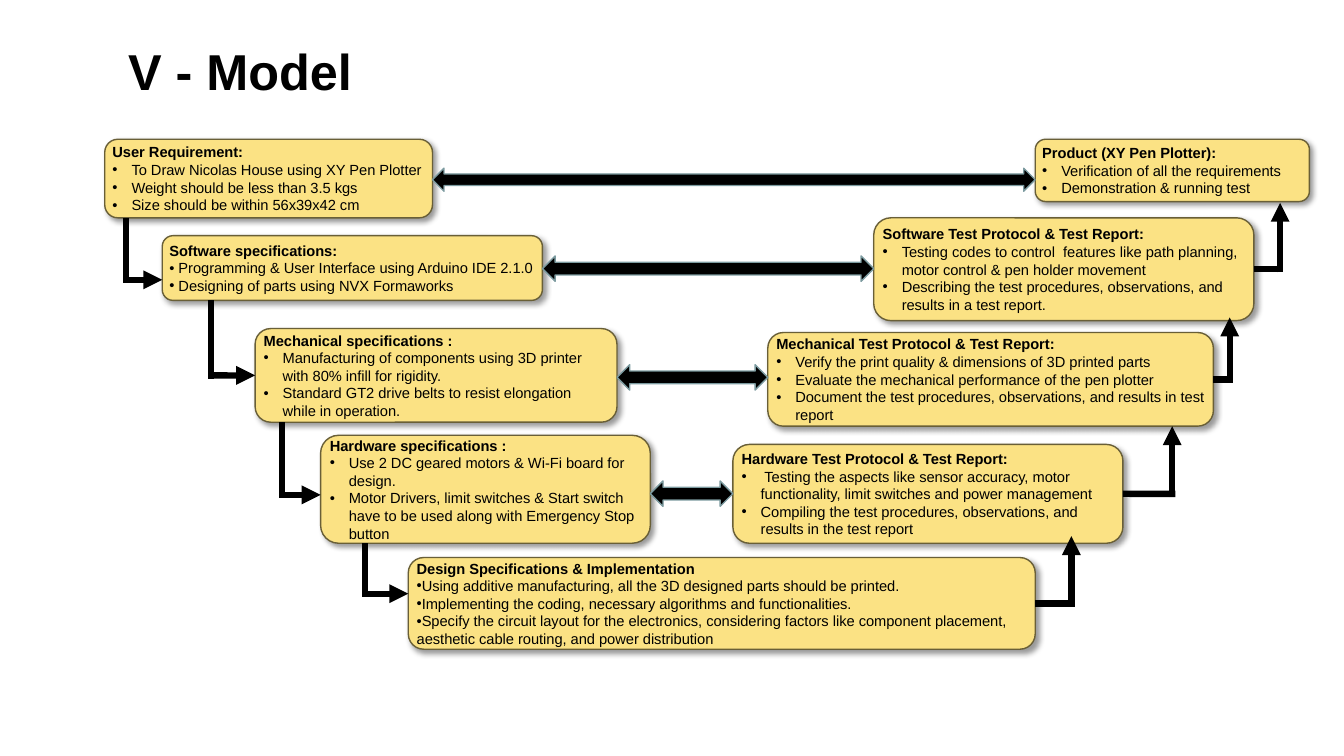
from lxml.etree import SubElement
from pptx import Presentation
from pptx.dml.color import RGBColor
from pptx.enum.shapes import MSO_CONNECTOR, MSO_SHAPE
from pptx.enum.text import MSO_ANCHOR, MSO_AUTO_SIZE, PP_ALIGN
from pptx.oxml import parse_xml
from pptx.oxml.ns import nsdecls, qn
from pptx.util import Cm, Pt

BLACK = RGBColor(0x00, 0x00, 0x00)
CREAM = RGBColor(0xFB, 0xE2, 0x84)
OLIVE = RGBColor(0x69, 0x5F, 0x37)
TEAL = RGBColor(0x7B, 0x9A, 0x9F)
FONT = "Arial"

# Content; all lengths in cm
TITLE = "V - Model"
HANGING, TIGHT = (0.48, -0.48), (0, -0.18)  # left margin, first-line indent

# key: (left, top, width, height), heading, bullets, bullet indent, alignment
BOXES = {
    "user": ((2.64, 3.51, 8.26, 1.98), "User Requirement:", [
        "To Draw Nicolas House using XY Pen Plotter",
        "Weight should be less than 3.5 kgs",
        "Size should be within 56x39x42 cm"], HANGING, PP_ALIGN.LEFT),
    "software": ((4.09, 5.94, 9.58, 1.63), "Software specifications:", [
        " Programming & User Interface using Arduino IDE 2.1.0",
        " Designing of parts using NVX Formaworks"], TIGHT, PP_ALIGN.LEFT),
    "mechanical": ((6.43, 8.28, 9.12, 2.36), "Mechanical specifications :", [
        "Manufacturing of components using 3D printer with 80% infill for rigidity.",
        "Standard GT2 drive belts to resist elongation while in operation."],
        HANGING, PP_ALIGN.LEFT),
    "hardware": ((8.08, 10.97, 8.31, 2.72), "Hardware specifications :", [
        "Use 2 DC geared motors & Wi-Fi board for design.",
        "Motor Drivers, limit switches & Start switch have to be used along with "
        "Emergency Stop button"], HANGING, PP_ALIGN.LEFT),
    "design": ((10.29, 14.05, 15.8, 2.31), "Design Specifications & Implementation", [
        "Using additive manufacturing, all the 3D designed parts should be printed.",
        "Implementing the coding, necessary algorithms and functionalities.",
        "Specify the circuit layout for the electronics, considering factors like "
        "component placement, aesthetic cable routing, and power distribution"],
        TIGHT, PP_ALIGN.LEFT),
    "product": ((26.09, 3.51, 6.91, 1.57), "Product (XY Pen Plotter):", [
        "Verification of all the requirements",
        "Demonstration & running test"], HANGING, PP_ALIGN.LEFT),
    "software test": ((22.02, 5.49, 9.58, 2.59), "Software Test Protocol & Test Report:", [
        "Testing codes to control  features like path planning, motor control & pen "
        "holder movement",
        "Describing the test procedures, observations, and results in a test report."],
        HANGING, PP_ALIGN.LEFT),
    "mechanical test": ((19.35, 8.38, 11.23, 2.36), "Mechanical Test Protocol & Test Report:", [
        "Verify the print quality & dimensions of 3D printed parts",
        "Evaluate the mechanical performance of the pen plotter",
        "Document the test procedures, observations, and results in test report"],
        HANGING, PP_ALIGN.JUSTIFY),
    "hardware test": ((18.47, 11.2, 9.83, 2.49), "Hardware Test Protocol & Test Report:", [
        " Testing the aspects like sensor accuracy, motor functionality, limit switches "
        "and power management",
        "Compiling the test procedures, observations, and results in the test report"],
        HANGING, PP_ALIGN.LEFT),
}
# from, to, corner x, corner y (None: middle of the target's side)
FALLS = [("user", "software", 3.18, 7.05), ("software", "mechanical", 5.31, None),
         ("mechanical", "hardware", 7.11, 12.47), ("hardware", "design", 9.19, 14.96)]
# from, corner x, tip y
RISES = [("design", 27, 13.51), ("hardware test", 29.54, 10.74),
         ("mechanical test", 30.99, 8), ("software test", 32.26, 5.11)]
# left box, right box, top, height
LINKS = [("user", "product", 4.24, 0.58), ("software", "software test", 6.45, 0.64),
         ("mechanical", "mechanical test", 9.19, 0.64),
         ("hardware", "hardware test", 12.12, 0.64)]
HALF_LINE = 0.08

prs = Presentation()
prs.slide_width, prs.slide_height = Cm(33.87), Cm(19.05)
s = prs.slides.add_slide(prs.slide_layouts[5])


def write(p, text, size=10.5, bold=False, align=PP_ALIGN.LEFT, indent=None):
    if indent:
        pPr = p._p.get_or_add_pPr()
        pPr.set("marL", str(Cm(indent[0])))
        pPr.set("indent", str(Cm(indent[1])))
        SubElement(pPr, qn("a:buFont")).set("typeface", FONT)
        SubElement(pPr, qn("a:buChar")).set("char", "•")
    p.alignment = align
    r = p.add_run()
    r.text = text
    r.font.name, r.font.size, r.font.bold = FONT, Pt(size), bold
    r.font.color.rgb = BLACK


def add_panel(preset, left, top, width, height, fill, outline):
    sp = s.shapes.add_shape(preset, Cm(left), Cm(top), Cm(width), Cm(height))
    sp.shadow.inherit = False
    sp.fill.solid()
    sp.fill.fore_color.rgb = fill
    sp.line.color.rgb = outline
    sp.line.width = Pt(1)
    return sp


def add_line(x1, y1, x2, y2, arrow=False):
    c = s.shapes.add_connector(MSO_CONNECTOR.STRAIGHT, Cm(x1), Cm(y1), Cm(x2), Cm(y2))
    c.line.color.rgb = BLACK
    c.line.width = Pt(4.5)
    if arrow:
        SubElement(c.line._get_or_add_ln(), qn("a:tailEnd")).set("type", "triangle")
    SubElement(c._element.spPr, qn("a:effectLst"))
    return c


# Title
title = s.shapes.title
title.left, title.top, title.width, title.height = Cm(3.23), Cm(0.86), Cm(21.01), Cm(1.7)
tf = title.text_frame
tf.auto_size = MSO_AUTO_SIZE.NONE
tf.vertical_anchor = MSO_ANCHOR.BOTTOM
tf.margin_left = tf.margin_right = tf.margin_top = tf.margin_bottom = 0
tf.paragraphs[0].line_spacing = 0.9
write(tf.paragraphs[0], TITLE, size=36, bold=True)

# Boxes of the V
panels = {}
for key, (place, heading, bullets, indent, align) in BOXES.items():
    sp = add_panel(MSO_SHAPE.FLOWCHART_ALTERNATE_PROCESS, *place, CREAM, OLIVE)
    effects = sp._element.spPr.find(qn("a:effectLst"))
    effects.append(parse_xml(
        f'<a:outerShdw {nsdecls("a")} blurRad="{Pt(4)}" dist="{Pt(3)}" dir="2700000" '
        'algn="tl" rotWithShape="0"><a:srgbClr val="000000"><a:alpha val="40000"/>'
        '</a:srgbClr></a:outerShdw>'))
    tf = sp.text_frame
    tf.word_wrap = True
    tf.vertical_anchor = MSO_ANCHOR.MIDDLE
    tf.margin_left = tf.margin_right = tf.margin_top = tf.margin_bottom = Cm(0.1)
    write(tf.paragraphs[0], heading, bold=True, align=align)
    for text in bullets:
        write(tf.add_paragraph(), text, align=align, indent=indent)
    panels[key] = sp

# Rising steps on the right
for start, x, tip in RISES:
    left, top, width, height = BOXES[start][0]
    middle = top + height / 2
    add_line(x, middle + HALF_LINE, x, tip, arrow=True)
    c = add_line(left + width, middle, x + HALF_LINE, middle)
    c.begin_connect(panels[start], 3)

# Falling steps on the left
for start, end, x, y in FALLS:
    _, top, _, height = BOXES[start][0]
    end_left, end_top, _, end_height = BOXES[end][0]
    turn = y or end_top + end_height / 2
    c = add_line(x, turn, end_left, turn, arrow=True)
    if y is None:
        c.end_connect(panels[end], 1)
    add_line(x, top + height, x, turn + HALF_LINE)

# Double arrows between specification and test
for start, end, top, height in LINKS:
    left = BOXES[start][0][0] + BOXES[start][0][2]
    add_panel(MSO_SHAPE.LEFT_RIGHT_ARROW, left, top, BOXES[end][0][0] - left, height,
              BLACK, TEAL)

prs.save("out.pptx")
